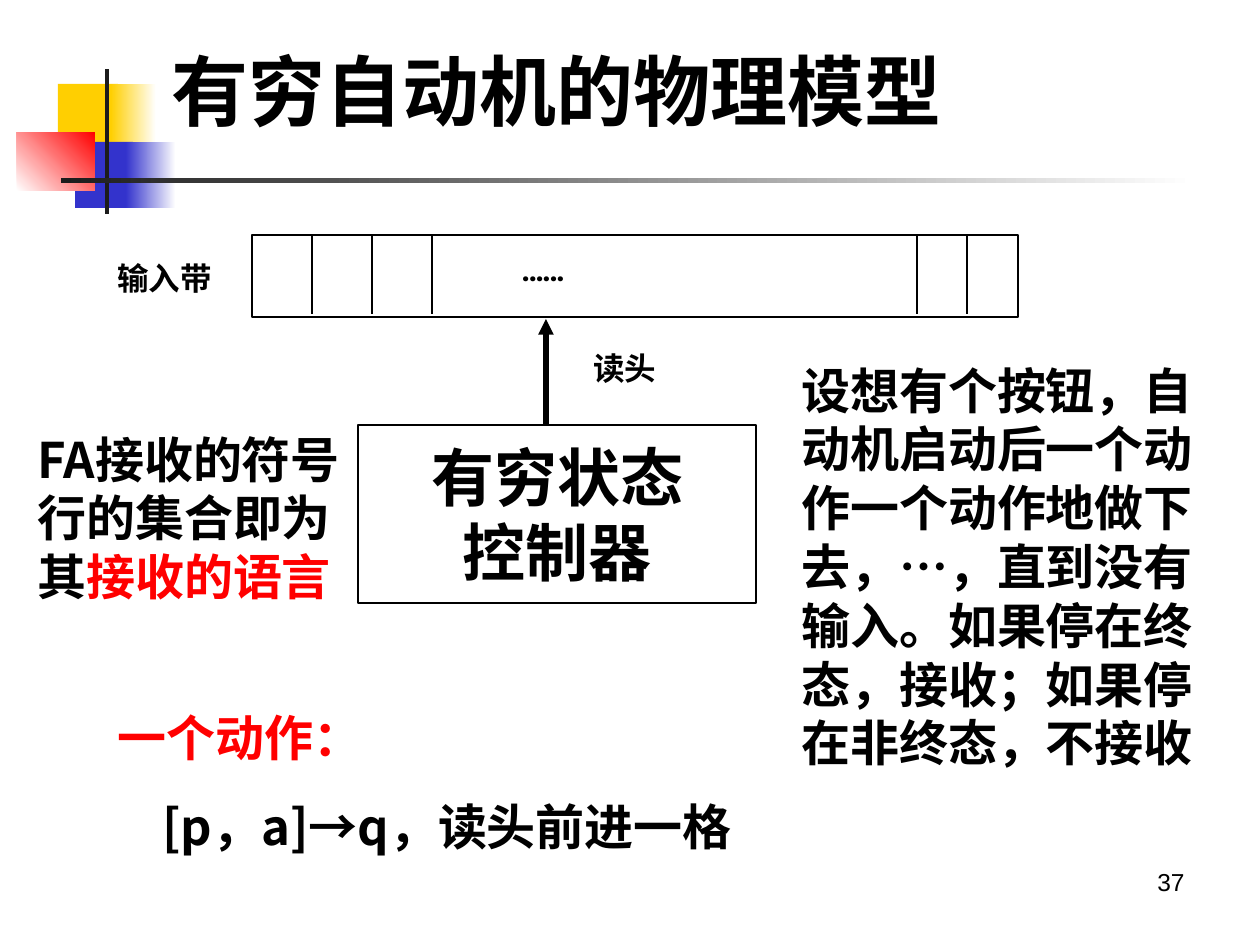
from dataclasses import dataclass

from lxml.etree import SubElement
from pptx import Presentation
from pptx.dml.color import RGBColor as RGB
from pptx.enum.shapes import MSO_CONNECTOR as CONN, MSO_SHAPE as SHAPE
from pptx.enum.text import MSO_ANCHOR as ANCHOR, PP_ALIGN as ALIGN
from pptx.oxml.ns import qn
from pptx.util import Emu, Pt

PX = 914400 / 126


@dataclass(frozen=True)
class Theme:
    """Colours, fonts and type sizes of the slide."""
    black: str = "000000"
    white: str = "FFFFFF"
    red: str = "FF0000"
    yellow: str = "FFCF01"
    blue: str = "3333CC"
    dark: str = "1C1C1C"
    serif: str = "Times New Roman"
    label: str = "Karla"
    cjk: str = "Noto Sans CJK SC"
    number: str = "Arial"
    title_size: int = 44
    box_size: int = 36
    body_size: int = 28
    label_size: int = 18
    number_size: int = 14
    leading: float = 1.2
    gap: float = 17.5


T = Theme()


def px(*values):
    """Turn pixels into EMU."""
    return [Emu(round(v * PX)) for v in values]


def add_rect(s, box, fill=None, fade=None, angle=0, line=None):
    """Add a rectangle with a solid, fading or empty fill."""
    sp = s.shapes.add_shape(SHAPE.RECTANGLE, *px(*box))
    sp.shadow.inherit = False
    if fade:
        sp.fill.gradient()
        sp.fill.gradient_angle = angle
        for stop, color in zip(sp.fill.gradient_stops, (fill, fade)):
            stop.color.rgb = RGB.from_string(color)
    elif fill:
        sp.fill.solid()
        sp.fill.fore_color.rgb = RGB.from_string(fill)
    else:
        sp.fill.background()
    if line:
        sp.line.color.rgb = RGB.from_string(T.black)
        sp.line.width = Pt(line)
    else:
        sp.line.fill.background()
    return sp


def add_line(s, start, end, width=0.75, arrow=False):
    """Add a straight black line, with an arrowhead at its end if asked."""
    c = s.shapes.add_connector(CONN.STRAIGHT, *px(*start, *end))
    c.line.color.rgb = RGB.from_string(T.black)
    c.line.width = Pt(width)
    if arrow:
        SubElement(c.line._get_or_add_ln(), qn("a:tailEnd"), type="triangle")
    SubElement(c._element.spPr, qn("a:effectLst"))


def write(sp, paragraphs, size, font=T.cjk, bold=True, align=ALIGN.LEFT,
          anchor=ANCHOR.TOP, wrap=True, gap=0, indents=()):
    """Fill a shape with paragraphs, each a list of (text, colour) runs."""
    tf = sp.text_frame
    tf.word_wrap, tf.vertical_anchor = wrap, anchor
    for i, runs in enumerate(paragraphs):
        p = tf.add_paragraph() if i else tf.paragraphs[0]
        p.alignment = align
        p.line_spacing = Pt(size * T.leading)
        if i and gap:
            p.space_before = Pt(gap)
        if i < len(indents):
            p._p.get_or_add_pPr().set("marL", str(px(indents[i])[0]))
        for text, color in runs:
            r = p.add_run()
            r.text = text
            r.font.size, r.font.bold, r.font.name = Pt(size), bold, font
            r.font.color.rgb = RGB.from_string(color)
            SubElement(r._r.get_or_add_rPr(), qn("a:ea"), typeface=T.cjk)
    return tf


def add_text(s, box, paragraphs, size, **style):
    """Add a text box and write into it."""
    return write(s.shapes.add_textbox(*px(*box)), paragraphs, size, **style)


def draw_ornament(s):
    """Draw the coloured squares and the two rules beside the title."""
    add_rect(s, (58, 84, 60, 66), T.yellow)
    add_rect(s, (111, 84, 45, 66), T.yellow, T.white)
    add_rect(s, (75, 142, 58, 66), T.blue)
    add_rect(s, (126, 142, 50, 66), T.blue, T.white)
    add_rect(s, (17, 132, 78, 59), T.white, T.red, angle=45)
    add_rect(s, (105, 69, 4, 145), T.dark)
    add_rect(s, (61, 178, 1134, 5), T.dark, T.white)


def draw_automaton(s):
    """Draw the input tape, the read head and the controller."""
    add_rect(s, (252, 235, 766, 82), line=1)
    for x in (312, 372, 432, 917, 967):
        add_line(s, (x, 235), (x, 314))
    controller = add_rect(s, (358, 425, 398, 178), line=1)
    write(controller, [[("有穷状态", T.black)], [("控制器", T.black)]], T.box_size,
          font=T.serif, align=ALIGN.CENTER, anchor=ANCHOR.MIDDLE, wrap=False)
    add_line(s, (546, 425), (546, 319), width=3, arrow=True)
    for text, x, y in (("输入带", 105, 253), ("读头", 581, 343), ("……", 510, 244)):
        add_text(s, (x, y, 129, 50), [[(text, T.black)]], T.label_size, font=T.label)


def draw_notes(s):
    """Write the explanations around the automaton."""
    add_text(s, (789, 354, 456, 425), [[(
        "设想有个按钮，自动机启动后一个动作一个动作地做下去，…，直到没有输入。"
        "如果停在终态，接收；如果停在非终态，不接收", T.black)]], T.body_size, font=T.label)
    add_text(s, (105, 701, 794, 161), [
        [("一个动作：", T.red)],
        [("[p，a]→q，读头前进一格", T.black)],
    ], T.body_size, gap=T.gap, indents=(0, 45))
    add_text(s, (25, 423, 328, 248), [
        [("FA接收的符号行的集合即为其", T.black), ("接收的语言", T.red)],
    ], T.body_size)


def main():
    """Build and save the slide."""
    prs = Presentation()
    prs.slide_width, prs.slide_height = px(1260, 945)
    s = prs.slides.add_slide(prs.slide_layouts[6])
    draw_ornament(s)
    title = add_text(s, (159, 55, 878, 81), [[("有穷自动机的物理模型", T.black)]],
                     T.title_size, font=T.serif, anchor=ANCHOR.BOTTOM)
    title.margin_bottom = 0
    draw_automaton(s)
    draw_notes(s)
    add_text(s, (903, 861, 294, 66), [[("37", T.black)]], T.number_size,
             font=T.number, bold=False, align=ALIGN.RIGHT)
    prs.save("out.pptx")


if __name__ == "__main__":
    main()
